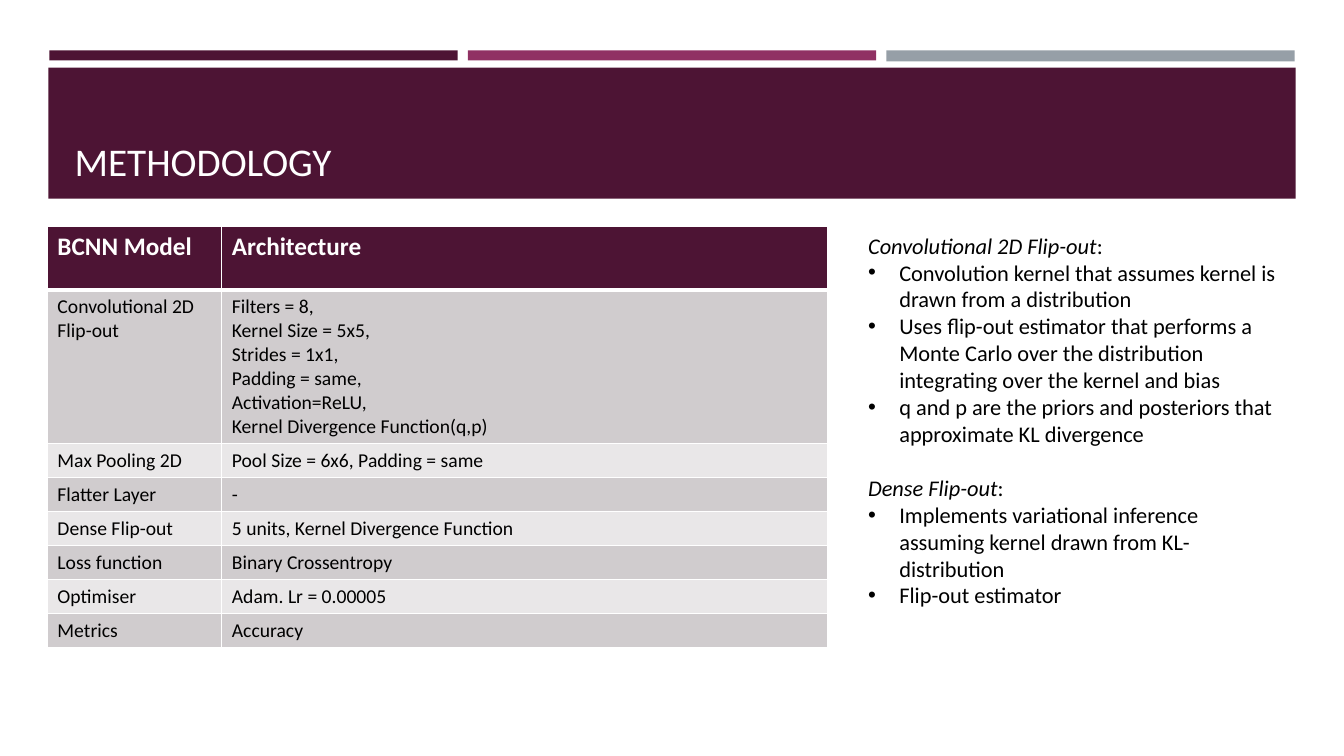
from lxml.etree import SubElement
from pptx import Presentation
from pptx.dml.color import RGBColor
from pptx.enum.shapes import MSO_SHAPE
from pptx.enum.text import MSO_ANCHOR, MSO_AUTO_SIZE, PP_ALIGN
from pptx.oxml.ns import qn
from pptx.util import Pt

PX = 9144
COLORS = {"plum": "4D1434", "magenta": "903163", "gray": "969FA7", "white": "FFFFFF",
          "black": "000000", "band_dark": "D0CCCE", "band_light": "E9E7E8"}


def place(shape, *box):
    for name, value in zip(("left", "top", "width", "height"), box):
        setattr(shape, name, value * PX)


def add_run(p, text, color, **formats):
    r = p.add_run()
    r.text = text
    r.font.color.rgb = RGBColor.from_string(COLORS[color])
    for name, value in {"name": "Calibri", "bold": False, **formats}.items():
        setattr(r.font, name, value)


prs = Presentation()
prs.slide_width, prs.slide_height = 1333 * PX, 750 * PX
s = prs.slides.add_slide(prs.slide_layouts[1])
title, body = s.placeholders

bars = [(49, 50, 405, 10, "plum"), (464, 50, 405, 10, "magenta"),
        (879, 50, 405, 11, "gray"), (48, 67, 1237, 130, "plum")]
for *box, color in bars:
    sp = s.shapes.add_shape(MSO_SHAPE.RECTANGLE, *(v * PX for v in box))
    sp.shadow.inherit = False
    sp.fill.solid()
    sp.fill.fore_color.rgb = RGBColor.from_string(COLORS[color])
    sp.line.fill.background()

s.shapes.element.append(title.element)
place(title, 64, 77, 1206, 111)
tf = title.text_frame
tf.auto_size, tf.vertical_anchor = MSO_AUTO_SIZE.NONE, MSO_ANCHOR.BOTTOM
p = tf.paragraphs[0]
p.alignment = PP_ALIGN.LEFT
add_run(p, "METHODOLOGY", "white", size=Pt(28))

rows = [
    ("BCNN Model", "Architecture"),
    ("Convolutional 2D Flip-out",
     "Filters = 8,\nKernel Size = 5x5,\nStrides = 1x1,\nPadding = same,\n"
     "Activation=ReLU,\nKernel Divergence Function(q,p)"),
    ("Max Pooling 2D", "Pool Size = 6x6, Padding = same"),
    ("Flatter Layer", "-"),
    ("Dense Flip-out", "5 units, Kernel Divergence Function"),
    ("Loss function", "Binary Crossentropy"),
    ("Optimiser", "Adam. Lr = 0.00005"),
    ("Metrics", "Accuracy"),
]
heights = [63, 151] + [33] * 6
frame = s.shapes.add_table(len(rows), 2, 47 * PX, 225 * PX, 774 * PX, sum(heights) * PX)
table = frame.table
for column, width in zip(table.columns, (173, 601)):
    column.width = width * PX
for i, (row, height) in enumerate(zip(rows, heights)):
    table.rows[i].height = height * PX
    header = i == 0
    fill = "plum" if header else "band_dark" if i % 2 else "band_light"
    for j, text in enumerate(row):
        cell = table.cell(i, j)
        tcPr = cell._tc.get_or_add_tcPr()
        for side in "LRTB":
            thick = (i, side) in ((0, "B"), (1, "T"))
            ln = SubElement(tcPr, qn(f"a:ln{side}"), w=str(Pt(3 if thick else 1)))
            SubElement(SubElement(ln, qn("a:solidFill")), qn("a:srgbClr"), val=COLORS["white"])
        cell.fill.solid()
        cell.fill.fore_color.rgb = RGBColor.from_string(COLORS[fill])
        tf = cell.text_frame
        for k, line in enumerate(text.split("\n")):
            p = tf.add_paragraph() if k else tf.paragraphs[0]
            add_run(p, line, "white" if header else "black",
                    size=Pt(18 if header else 14), bold=header)

s.shapes.element.append(body.element)
place(body, 851, 225, 427, 387)
tf = body.text_frame
tf.auto_size, tf.vertical_anchor, tf.word_wrap = MSO_AUTO_SIZE.NONE, MSO_ANCHOR.TOP, True
sections = {
    "Convolutional 2D Flip-out": [
        "Convolution kernel that assumes kernel is drawn from a distribution",
        "Uses flip-out estimator that performs a Monte Carlo over the distribution "
        "integrating over the kernel and bias",
        "q and p are the priors and posteriors that approximate KL divergence"],
    "Dense Flip-out": [
        "Implements variational inference assuming kernel drawn from KL-distribution",
        "Flip-out estimator"],
}
for n, (heading, points) in enumerate(sections.items()):
    for k, text in enumerate([heading] + points):
        p = tf.add_paragraph() if n or k else tf.paragraphs[0]
        p.line_spacing = 1.0
        p.space_before = Pt(19.5 if n and not k else 0)
        pPr = p._p.get_or_add_pPr()
        indent = 31 * PX if k else 0
        pPr.set("marL", str(indent))
        pPr.set("indent", str(-indent))
        if k:
            SubElement(pPr, qn("a:buFont"), typeface="Arial")
            SubElement(pPr, qn("a:buChar"), char="•")
            add_run(p, text, "black", size=Pt(16))
        else:
            SubElement(pPr, qn("a:buNone"))
            add_run(p, text, "black", size=Pt(16), italic=True)
            add_run(p, ":", "black", size=Pt(16))

prs.save("out.pptx")
